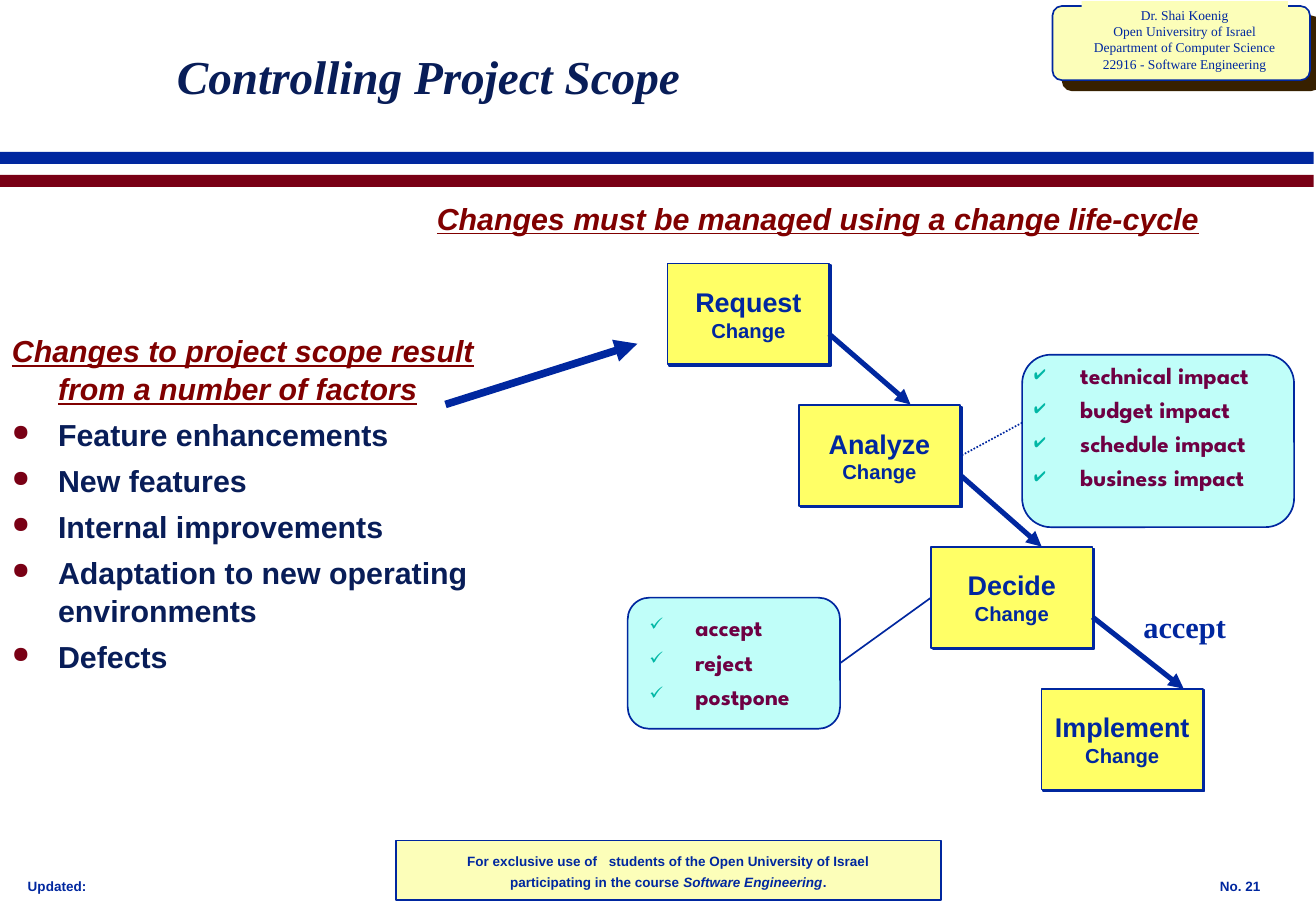
"""Build the slide on controlling project scope."""
import dataclasses

import lxml.etree
import pptx
import pptx.dml.color
import pptx.enum.dml
import pptx.enum.shapes
import pptx.enum.text
import pptx.oxml.ns
import pptx.util

Inches = pptx.util.Inches
Pt = pptx.util.Pt
SHAPE = pptx.enum.shapes.MSO_SHAPE
ALIGN = pptx.enum.text.PP_ALIGN
MIDDLE = pptx.enum.text.MSO_ANCHOR.MIDDLE


@dataclasses.dataclass(frozen=True)
class Face:
    """Hold the look of a run of text."""
    font: str
    size: float
    color: str
    bold: bool = True
    slant: bool = False
    under: bool = False


class Theme:
    """Keep the colours and type styles together."""
    blue = "00279F"
    red = "790015"
    teal = "00B7A5"
    cream = "FCFEB9"
    yellow = "FFFF66"
    aqua = "C0FEF9"
    brown = "372000"
    title = Face("Times New Roman", 28, "081D58", slant=True)
    head = Face("Arial", 18, "800000", slant=True, under=True)
    body = Face("Arial", 18, "081D58")
    step = Face("Arial", 16, blue)
    sub = Face("Arial", 12, blue)
    check = Face("League Spartan", 14, "6E0043")
    label = Face("Times New Roman", 18, blue)
    badge = Face("Times New Roman", 8, blue, bold=False)
    small = Face("Arial", 8, blue)
    course = Face("Arial", 8, blue, slant=True)
    gap = Face("Arial", 24, blue)


def rgb(code):
    """Turn a hex code into a colour."""
    return pptx.dml.color.RGBColor.from_string(code)


def node(parent, tag, **attrs):
    """Add a drawing element to a parent."""
    return lxml.etree.SubElement(parent, pptx.oxml.ns.qn(tag), attrs)


def style(run, face):
    """Give a run its look."""
    font = run.font
    font.name, font.size = face.font, Pt(face.size)
    font.bold, font.italic, font.underline = face.bold, face.slant, face.under
    font.color.rgb = rgb(face.color)


def write(frame, lines, align=ALIGN.LEFT, wrap=True):
    """Fill a frame with lines, each a list of text and face pairs."""
    frame.word_wrap = wrap
    for index, line in enumerate(lines):
        para = frame.add_paragraph() if index else frame.paragraphs[0]
        para.alignment = align
        for words, face in line:
            run = para.add_run()
            run.text = words
            style(run, face)
    return frame


def text(slide, box, lines, **args):
    """Add a text box."""
    area = slide.shapes.add_textbox(*map(Inches, box))
    return write(area.text_frame, lines, **args)


def hang(para, sign=None, color=None):
    """Indent a paragraph and give it a bullet sign."""
    props = para._p.get_or_add_pPr()
    props.set("marL", str(Inches(0.38)))
    props.set("indent", str(-Inches(0.38)))
    if sign:
        tint = node(props, "a:buClr")
        node(tint, "a:srgbClr", val=color)
        node(props, "a:buSzPct", val="75000")
        node(props, "a:buChar", char=sign)


def space(frame, before, line=1.0):
    """Set the spacing of all paragraphs in a frame."""
    for index, para in enumerate(frame.paragraphs):
        para.line_spacing = line
        para.space_before = Pt(before if index else 0)


def block(slide, box, fill, edge=None, kind=SHAPE.RECTANGLE, curve=None):
    """Add a filled shape with an optional edge."""
    form = slide.shapes.add_shape(kind, *map(Inches, box))
    form.shadow.inherit = False
    form.fill.solid()
    form.fill.fore_color.rgb = rgb(fill)
    if edge:
        form.line.color.rgb = rgb(edge)
        form.line.width = Pt(1)
    else:
        form.line.fill.background()
    if curve:
        form.adjustments[0] = curve
    return form


def shade(form, color, reach):
    """Drop a hard shadow down and to the right."""
    effects = form._element.spPr.find(pptx.oxml.ns.qn("a:effectLst"))
    drop = node(effects, "a:outerShdw", blurRad="0", dist=str(Pt(reach)),
                dir="2700000", algn="tl", rotWithShape="0")
    node(drop, "a:srgbClr", val=color)


def link(slide, ends, width=1, head=False, dash=None):
    """Draw a line between two points."""
    kind = pptx.enum.shapes.MSO_CONNECTOR.STRAIGHT
    wire = slide.shapes.add_connector(kind, *map(Inches, ends))
    wire.line.color.rgb = rgb(Theme.blue)
    wire.line.width = Pt(width)
    if dash:
        wire.line.dash_style = dash
    if head:
        node(wire.line._get_or_add_ln(), "a:tailEnd", type="triangle")
    node(wire._element.spPr, "a:effectLst")


def step(slide, left, top, name):
    """Add one stage of the change life-cycle."""
    form = block(slide, (left, top, 1.33, 0.83), Theme.yellow, Theme.blue)
    shade(form, Theme.blue, 1.4)
    form.text_frame.vertical_anchor = MIDDLE
    write(form.text_frame, [[(name, Theme.step)], [("Change", Theme.sub)]],
          ALIGN.CENTER, wrap=False)


def checks(slide, panel, box, sign, items):
    """Add a rounded panel with a list of checked items."""
    block(slide, panel, Theme.aqua, Theme.blue, SHAPE.ROUNDED_RECTANGLE, 0.167)
    frame = text(slide, box, [[(item, Theme.check)] for item in items])
    for para in frame.paragraphs:
        hang(para, sign, Theme.teal)
    space(frame, 3.5)


def points(slide, box, head, items=()):
    """Add an underlined heading with bullets below it."""
    lines = [[(head, Theme.head)]] + [[(item, Theme.body)] for item in items]
    frame = text(slide, box, lines)
    hang(frame.paragraphs[0])
    for para in frame.paragraphs[1:]:
        hang(para, "●", Theme.red)
    space(frame, 4.5, 1.05)


def trim(slide):
    """Add the bands, the badge and the footer."""
    block(slide, (3.26, 6.92, 4.49, 0.49), Theme.cream, Theme.blue)
    block(slide, (0, 1.25, 10.82, 0.1), Theme.blue)
    block(slide, (0, 1.44, 10.82, 0.1), Theme.red)
    badge = block(slide, (8.67, 0.05, 2.12, 0.61), Theme.cream, Theme.blue,
                  SHAPE.ROUNDED_RECTANGLE, 0.125)
    shade(badge, Theme.brown, 8.5)
    plate = block(slide, (8.91, 0.01, 1.7, 0.63), Theme.cream)
    names = ("Dr. Shai Koenig", "Open Universitry of Israel",
             "Department of Computer Science", "22916 - Software Engineering")
    write(plate.text_frame, [[(name, Theme.badge)] for name in names],
          ALIGN.CENTER, wrap=False)
    text(slide, (0.13, 7.18, 1.15, 0.23), [[("Updated:", Theme.small)]])
    text(slide, (9.95, 7.18, 0.85, 0.23), [[("No. 21", Theme.small)]])
    text(slide, (3.33, 6.75, 4.35, 0.64), [
        [("For exclusive use of", Theme.small), (" ", Theme.gap),
         ("students of the Open University of Israel", Theme.small)],
        [("participating in the course ", Theme.small),
         ("Software Engineering", Theme.course), (".", Theme.small)],
    ], align=ALIGN.CENTER)


def main():
    """Build and save the slide."""
    deck = pptx.Presentation()
    deck.slide_width, deck.slide_height = Inches(10.84), Inches(7.5)
    slide = deck.slides.add_slide(deck.slide_layouts[6])
    trim(slide)
    title = text(slide, (1.36, 0, 8.5, 1.25), [[("Controlling Project Scope", Theme.title)]])
    title.vertical_anchor = MIDDLE
    points(slide, (0, 2.67, 4.17, 3), "Changes to project scope result from a number of factors",
           ("Feature enhancements", "New features", "Internal improvements",
            "Adaptation to new operating environments", "Defects"))
    points(slide, (3.5, 1.58, 7.33, 0.42), "Changes must be managed using a change life-cycle")
    stages = {"Request": 5.5, "Analyze": 6.58, "Decide": 7.67, "Implement": 8.58}
    for index, (name, left) in enumerate(stages.items()):
        step(slide, left, 2.17 + index * 3.5 / 3, name)
    checks(slide, (5.17, 4.92, 1.75, 1.08), (5.25, 5, 1.5, 0.92), "✓",
           ("accept", "reject", "postpone"))
    for ends in ((6.83, 2.75, 7.5, 3.33), (7.92, 3.92, 8.58, 4.5), (9, 5.08, 9.75, 5.67)):
        link(slide, ends, 3, head=True)
    link(slide, (6.92, 5.46, 7.67, 4.92))
    text(slide, (9.32, 4.96, 0.88, 0.4), [[("accept", Theme.label)]], wrap=False)
    link(slide, (3.67, 3.33, 5.25, 2.83), 4.5, head=True)
    checks(slide, (8.42, 2.92, 2.24, 1.42), (8.42, 2.92, 2.33, 1.13), "✔",
           ("technical impact", "budget impact", "schedule impact", "business impact"))
    link(slide, (8.42, 3.48, 7.92, 3.75), dash=pptx.enum.dml.MSO_LINE.ROUND_DOT)
    deck.save("out.pptx")


if __name__ == "__main__":
    main()
